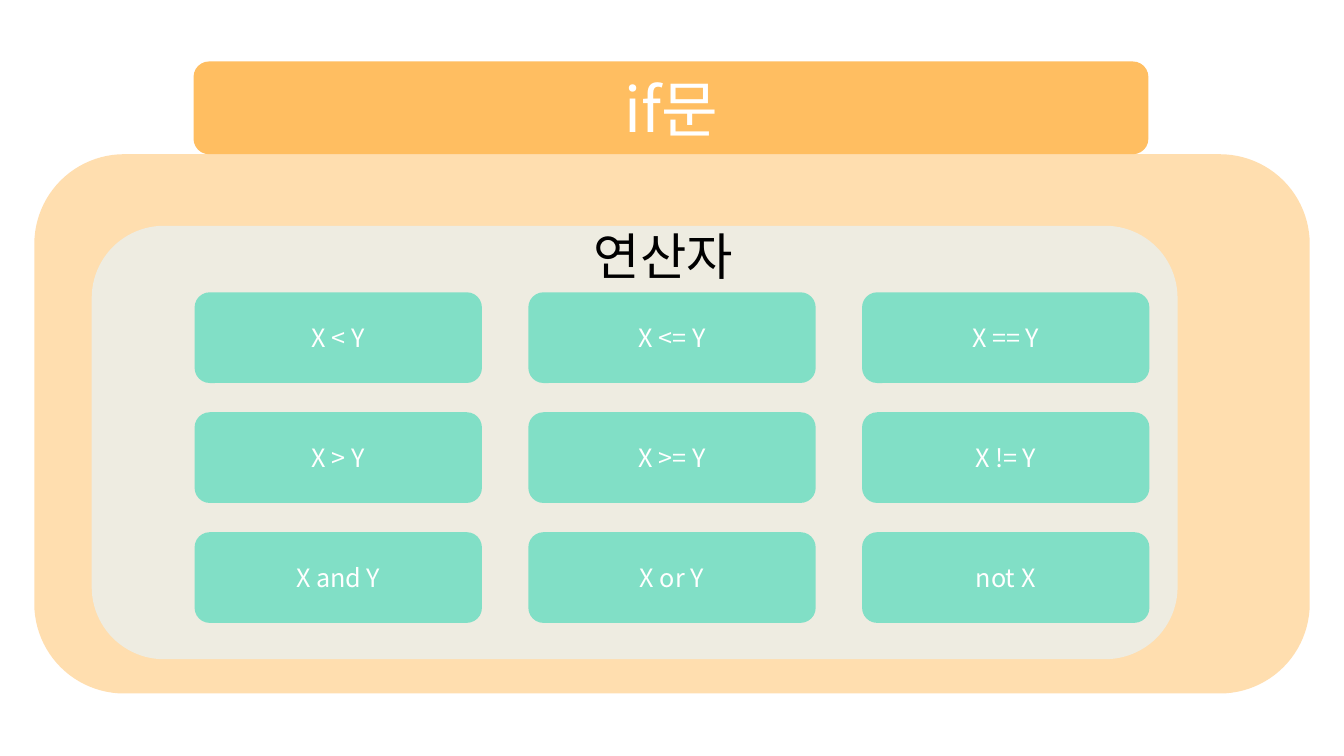
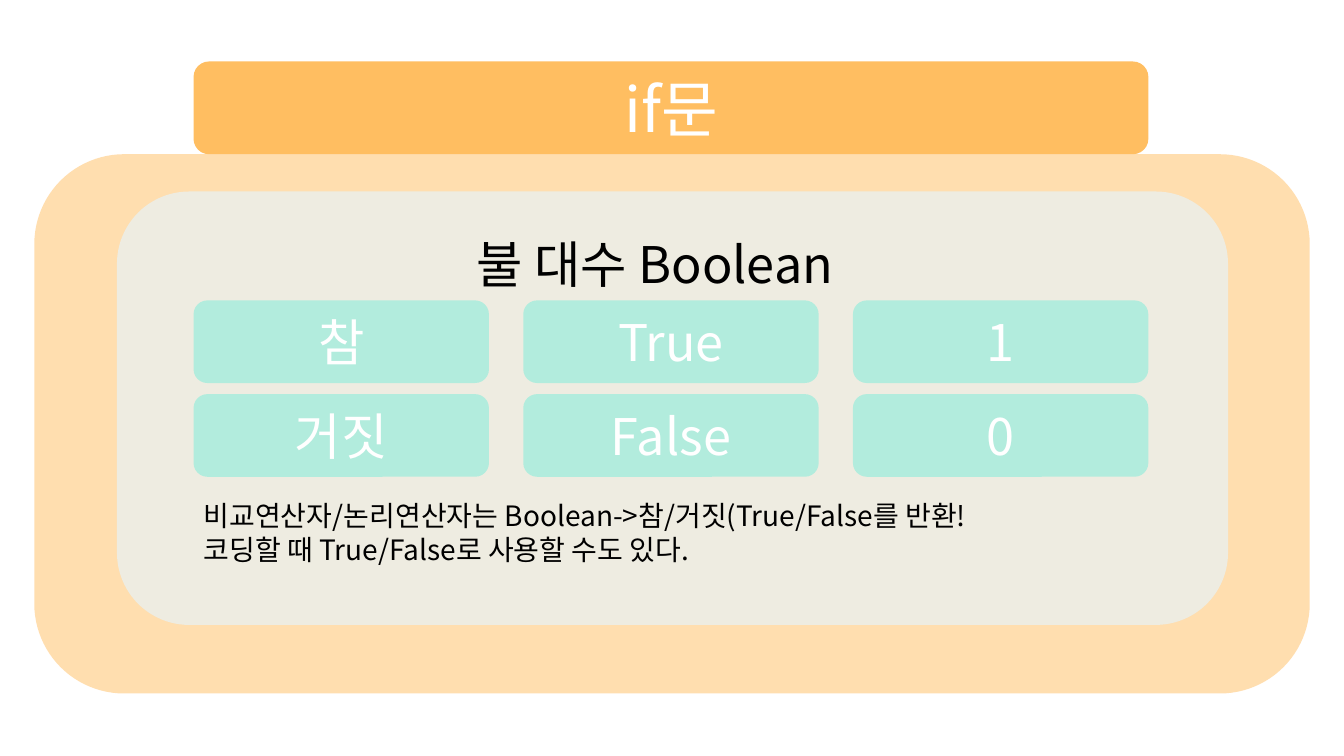
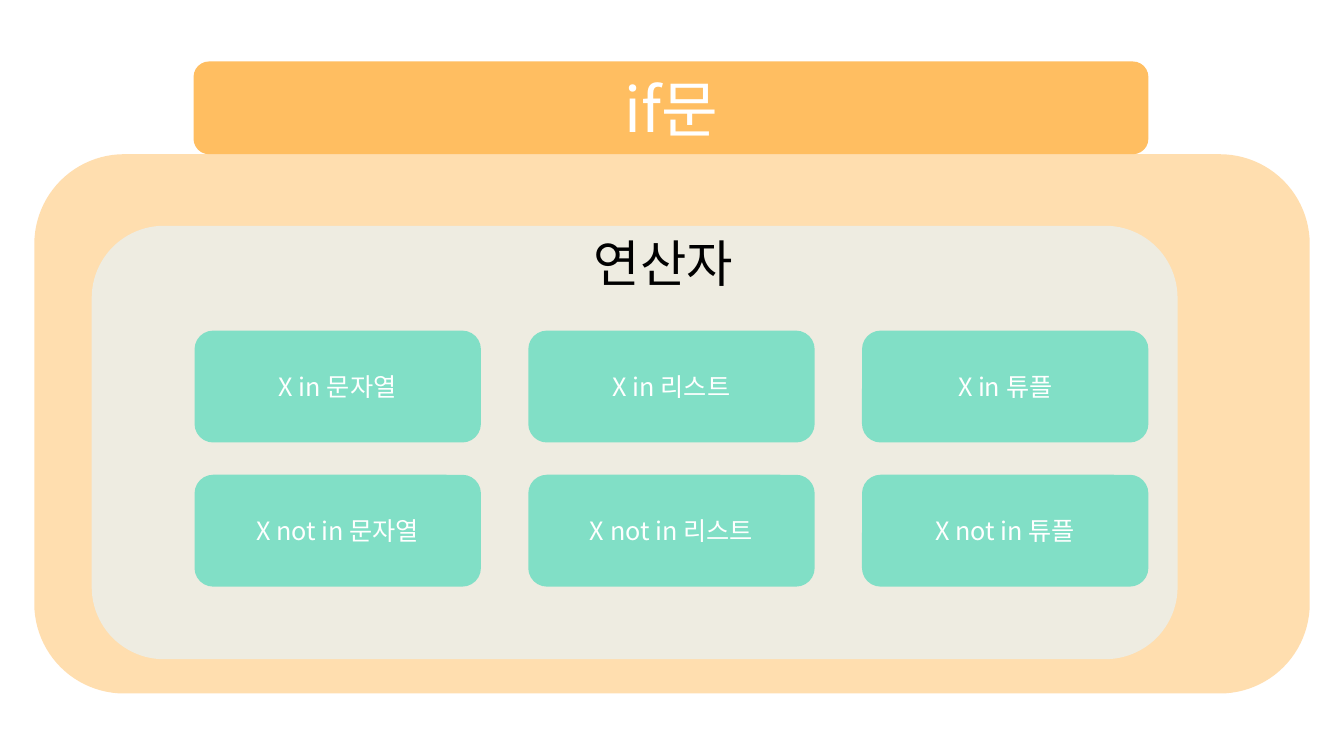
from dataclasses import dataclass

import lxml.etree
import pptx
import pptx.dml.color
import pptx.enum.shapes
import pptx.enum.text
import pptx.oxml.ns
import pptx.presentation
import pptx.shapes.autoshape
import pptx.slide
import pptx.text.text
import pptx.util

PX = 9144  # 100 px to the inch


@dataclass(frozen=True)
class Theme:
    font: str = "Noto Sans CJK KR"
    orange: str = "FFBE61"
    cream: str = "EEECE1"
    mint: str = "81DFC6"
    pale_mint: str = "B2ECDD"
    white: str = "FFFFFF"
    black: str = "000000"
    title_size: int = 44
    heading_size: int = 36
    note_size: int = 20
    operator_size: int = 18


@dataclass(frozen=True)
class Box:
    left: int
    top: int
    width: int
    height: int

    def emu(self) -> tuple[int, int, int, int]:
        return self.left * PX, self.top * PX, self.width * PX, self.height * PX


@dataclass(frozen=True)
class Grid:
    """Equal tiles, placed row by row from the first tile's box."""
    first: Box
    column_gap: int
    row_gap: int
    fill: str
    size: int
    rows: tuple[tuple[str, ...], ...]


@dataclass(frozen=True)
class Label:
    box: Box
    text: str
    size: int


@dataclass(frozen=True)
class Page:
    panel: Box
    grid: Grid
    labels: tuple[Label, ...]


THEME = Theme()
TITLE = "if문"
TITLE_BAND = Box(192, 61, 947, 92)
BACKDROP = Box(34, 153, 1265, 535)
OPERATOR_PANEL = Box(91, 224, 1077, 430)

PAGES = (
    Page(
        OPERATOR_PANEL,
        Grid(Box(193, 290, 285, 90), 46, 29, THEME.mint, THEME.operator_size, (
            ("X < Y", "X <= Y", "X == Y"),
            ("X > Y", "X >= Y", "X != Y"),
            ("X and Y", "X or Y", "not X"),
        )),
        (Label(Box(579, 218, 175, 71), "연산자", THEME.heading_size),),
    ),
    Page(
        Box(116, 190, 1102, 430),
        Grid(Box(192, 298, 293, 82), 34, 11, THEME.pale_mint, THEME.heading_size, (
            ("참", "True", "1"),
            ("거짓", "False", "0"),
        )),
        (
            Label(Box(463, 226, 523, 71), "불 대수 Boolean", THEME.heading_size),
            Label(
                Box(192, 490, 911, 77),
                "비교연산자/논리연산자는 Boolean->참/거짓(True/False를 반환!\n"
                "코딩할 때 True/False로 사용할 수도 있다.",
                THEME.note_size,
            ),
        ),
    ),
    Page(
        OPERATOR_PANEL,
        Grid(Box(193, 328, 284, 111), 47, 32, THEME.mint, THEME.operator_size, (
            ("X in 문자열", "X in 리스트", "X in 튜플"),
            ("X not in 문자열", "X not in 리스트", "X not in 튜플"),
        )),
        (Label(Box(579, 225, 175, 71), "연산자", THEME.heading_size),),
    ),
)


def rgb(color: str) -> pptx.dml.color.RGBColor:
    return pptx.dml.color.RGBColor.from_string(color)


def write_text(frame: pptx.text.text.TextFrame, text: str, size: int, color: str,
               align: pptx.enum.text.PP_ALIGN) -> None:
    frame.text = text
    frame.word_wrap = True
    for para in frame.paragraphs:
        para.alignment = align
        for span in para.runs:
            span.font.size = pptx.util.Pt(size)
            span.font.color.rgb = rgb(color)
            span.font.name = THEME.font
            east_asian = lxml.etree.SubElement(span.font._element, pptx.oxml.ns.qn("a:ea"))
            east_asian.set("typeface", THEME.font)


def add_rounded(slide: pptx.slide.Slide, box: Box, fill: str) -> pptx.shapes.autoshape.Shape:
    shape = slide.shapes.add_shape(
        pptx.enum.shapes.MSO_SHAPE.ROUNDED_RECTANGLE, *box.emu())
    shape.shadow.inherit = False
    shape.fill.solid()
    shape.fill.fore_color.rgb = rgb(fill)
    shape.line.fill.background()
    return shape


def add_tile(slide: pptx.slide.Slide, box: Box, fill: str, text: str, size: int) -> None:
    frame = add_rounded(slide, box, fill).text_frame
    frame.vertical_anchor = pptx.enum.text.MSO_ANCHOR.MIDDLE
    write_text(frame, text, size, THEME.white, pptx.enum.text.PP_ALIGN.CENTER)


def set_opacity(shape: pptx.shapes.autoshape.Shape, percent: int) -> None:
    color = shape._element.spPr.find(
        f"{pptx.oxml.ns.qn('a:solidFill')}/{pptx.oxml.ns.qn('a:srgbClr')}")
    lxml.etree.SubElement(color, pptx.oxml.ns.qn("a:alpha")).set("val", str(percent * 1000))


def add_grid(slide: pptx.slide.Slide, grid: Grid) -> None:
    first = grid.first
    for row, texts in enumerate(grid.rows):
        for column, text in enumerate(texts):
            box = Box(first.left + column * (first.width + grid.column_gap),
                      first.top + row * (first.height + grid.row_gap),
                      first.width, first.height)
            add_tile(slide, box, grid.fill, text, grid.size)


def add_label(slide: pptx.slide.Slide, label: Label) -> None:
    frame = slide.shapes.add_textbox(*label.box.emu()).text_frame
    write_text(frame, label.text, label.size, THEME.black, pptx.enum.text.PP_ALIGN.LEFT)
    frame.auto_size = pptx.enum.text.MSO_AUTO_SIZE.SHAPE_TO_FIT_TEXT


def add_page(deck: pptx.presentation.Presentation, page: Page) -> None:
    slide = deck.slides.add_slide(deck.slide_layouts[6])
    add_tile(slide, TITLE_BAND, THEME.orange, TITLE, THEME.title_size)
    set_opacity(add_rounded(slide, BACKDROP, THEME.orange), 50)
    add_rounded(slide, page.panel, THEME.cream)
    add_grid(slide, page.grid)
    for label in page.labels:
        add_label(slide, label)


def main() -> None:
    deck = pptx.Presentation()
    deck.slide_width, deck.slide_height = 1333 * PX, 750 * PX
    for page in PAGES:
        add_page(deck, page)
    deck.save("out.pptx")


if __name__ == "__main__":
    main()
